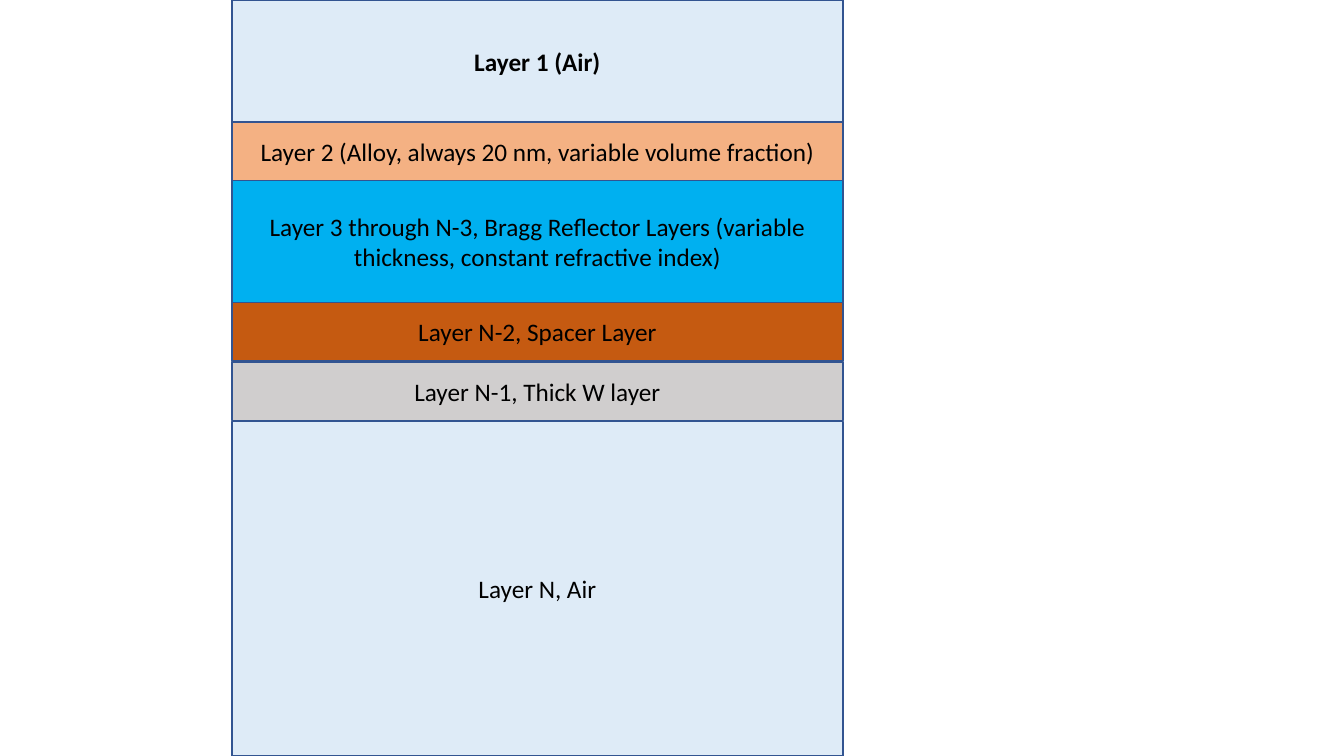
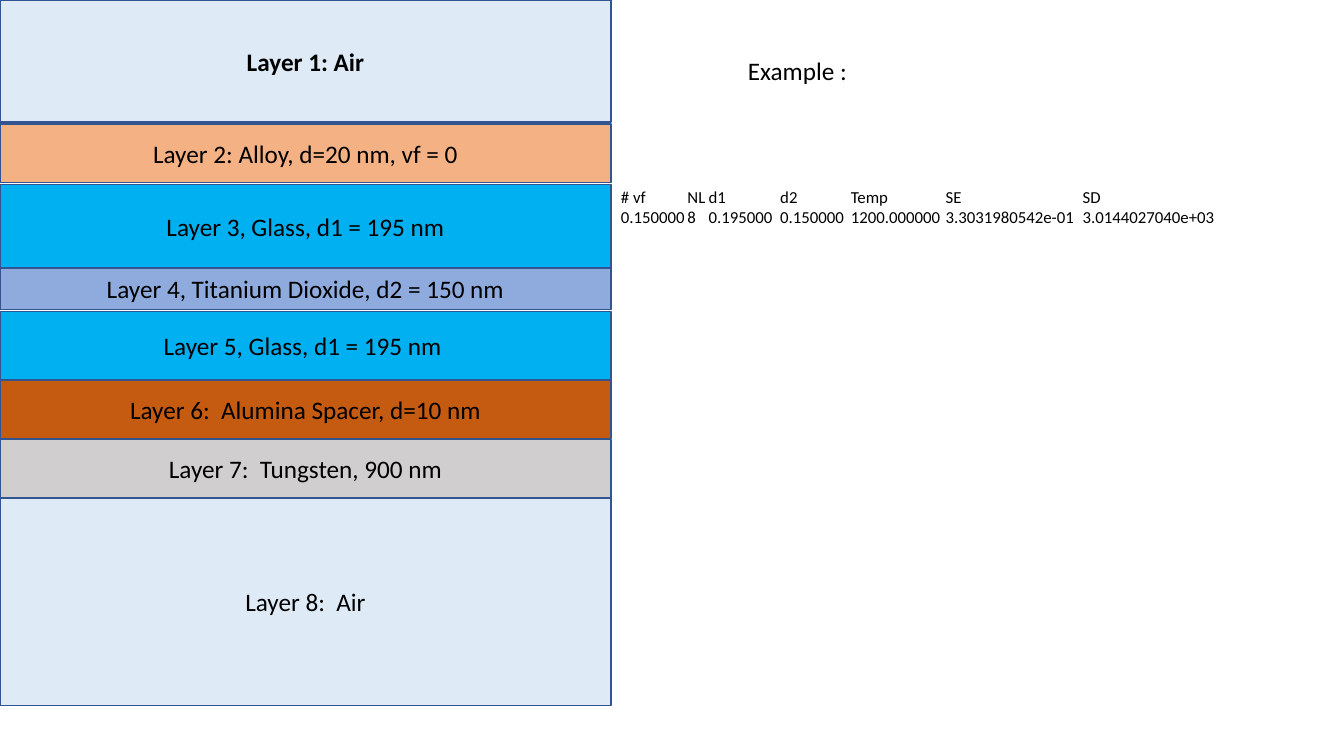
"""Build two slides that show a layered optical stack and a worked example."""
from lxml import etree
from pptx import Presentation
from pptx import util as u
from pptx.dml.color import RGBColor
from pptx.enum import shapes, text
from pptx.oxml.ns import qn

SLIDE_WIDTH, SLIDE_HEIGHT = 13.33, 7.5
STACK_WIDTH = 6.06
THIN, THICK = 0.58, 1.21
FONT, INK, OUTLINE = "Calibri", "000000", "325491"
FILLS = {
    "air": "DEEBF7", "alloy": "F4B183", "glass": "00B0F0",
    "titania": "8FAADC", "spacer": "C55A11", "tungsten": "D0CECE",
}

# Each layer: material, thickness on the slide, gap above it, label.
GENERAL_LAYERS = [
    ("air", THICK, 0, "Layer 1 (Air)"),
    ("alloy", THIN, 0, "Layer 2 (Alloy, always 20 nm, variable volume fraction)"),
    ("glass", THICK, 0, "Layer 3 through N-3, Bragg Reflector Layers "
                        "(variable thickness, constant refractive index)"),
    ("spacer", THIN, 0, "Layer N-2, Spacer Layer"),
    ("tungsten", THIN, 0.01, "Layer N-1, Thick W layer"),
    ("air", 3.32, 0.01, "Layer N, Air"),
]
EXAMPLE_LAYERS = [
    ("air", THICK, 0, "Layer 1: Air"),
    ("alloy", THIN, 0.02, "Layer 2: Alloy, d=20 nm, vf = 0"),
    ("glass", 0.83, 0.02, "Layer 3, Glass, d1 = 195 nm"),
    ("titania", 0.41, 0, "Layer 4, Titanium Dioxide, d2 = 150 nm"),
    ("glass", 0.68, 0.02, "Layer 5, Glass, d1 = 195 nm "),
    ("spacer", THIN, 0, "Layer 6:  Alumina Spacer, d=10 nm"),
    ("tungsten", THIN, 0.01, "Layer 7:  Tungsten, 900 nm"),
    ("air", 2.06, 0, "Layer 8:  Air"),
]
RESULTS = [
    ("# vf", "NL", "d1", "d2", "Temp", "SE", "SD"),
    ("0.150000", "8", "0.195000", "0.150000", "1200.000000",
     "3.3031980542e-01", "3.0144027040e+03"),
]
RESULT_TABS = (0.66, 0.87, 1.58, 2.28, 3.22, 4.58)


def color(value):
    """Turn a hex string into a colour."""
    return RGBColor.from_string(value)


def style_text(frame, size, bold=False, align=text.PP_ALIGN.LEFT):
    """Format every run of a text frame alike."""
    frame.word_wrap = True
    for para in frame.paragraphs:
        para.alignment = align
        for span in para.runs:
            span.font.name = FONT
            span.font.size = u.Pt(size)
            span.font.bold = bold
            span.font.color.rgb = color(INK)


def add_layer(page, left, top, height, fill, label, bold):
    """Draw one outlined layer with a centred label."""
    box = page.shapes.add_shape(
        shapes.MSO_SHAPE.RECTANGLE,
        *map(u.Inches, (left, top, STACK_WIDTH, height)))
    box.shadow.inherit = False
    box.fill.solid()
    box.fill.fore_color.rgb = color(fill)
    box.line.color.rgb = color(OUTLINE)
    box.line.width = u.Pt(1)
    box.text_frame.text = label
    box.text_frame.vertical_anchor = text.MSO_ANCHOR.MIDDLE
    style_text(box.text_frame, 18, bold, text.PP_ALIGN.CENTER)


def add_stack(page, left, layers):
    """Pile layers downwards from the top edge, with the first label bold."""
    top = 0
    for index, (material, height, gap, label) in enumerate(layers):
        top += gap
        add_layer(page, left, top, height, FILLS[material], label, index == 0)
        top += height


def add_note(page, left, top, width, height, content, size):
    """Add a plain text box and return its frame."""
    box = page.shapes.add_textbox(*map(u.Inches, (left, top, width, height)))
    box.text_frame.text = content
    style_text(box.text_frame, size)
    return box.text_frame


def set_tabs(para, positions):
    """Give a paragraph left tab stops at positions in inches."""
    tabs = etree.SubElement(para._p.get_or_add_pPr(), qn("a:tabLst"))
    for position in positions:
        etree.SubElement(tabs, qn("a:tab"), pos=str(u.Inches(position)), algn="l")


def add_results(page):
    """Add the tabbed result lines beside the stack."""
    content = "\n".join("\t".join(row) for row in RESULTS)
    frame = add_note(page, STACK_WIDTH, 1.8, 6.98, 0.5, content, 12)
    for para in frame.paragraphs:
        set_tabs(para, RESULT_TABS)


def main():
    """Build and save the deck."""
    deck = Presentation()
    deck.slide_width = u.Inches(SLIDE_WIDTH)
    deck.slide_height = u.Inches(SLIDE_HEIGHT)
    general, example = (
        deck.slides.add_slide(deck.slide_layouts[6]) for _ in range(2))
    add_stack(general, 2.3, GENERAL_LAYERS)
    add_stack(example, 0, EXAMPLE_LAYERS)
    add_note(example, 7.32, 0.5, 5.17, 0.71, "Example :", 18)
    add_results(example)
    deck.save("out.pptx")


if __name__ == "__main__":
    main()
